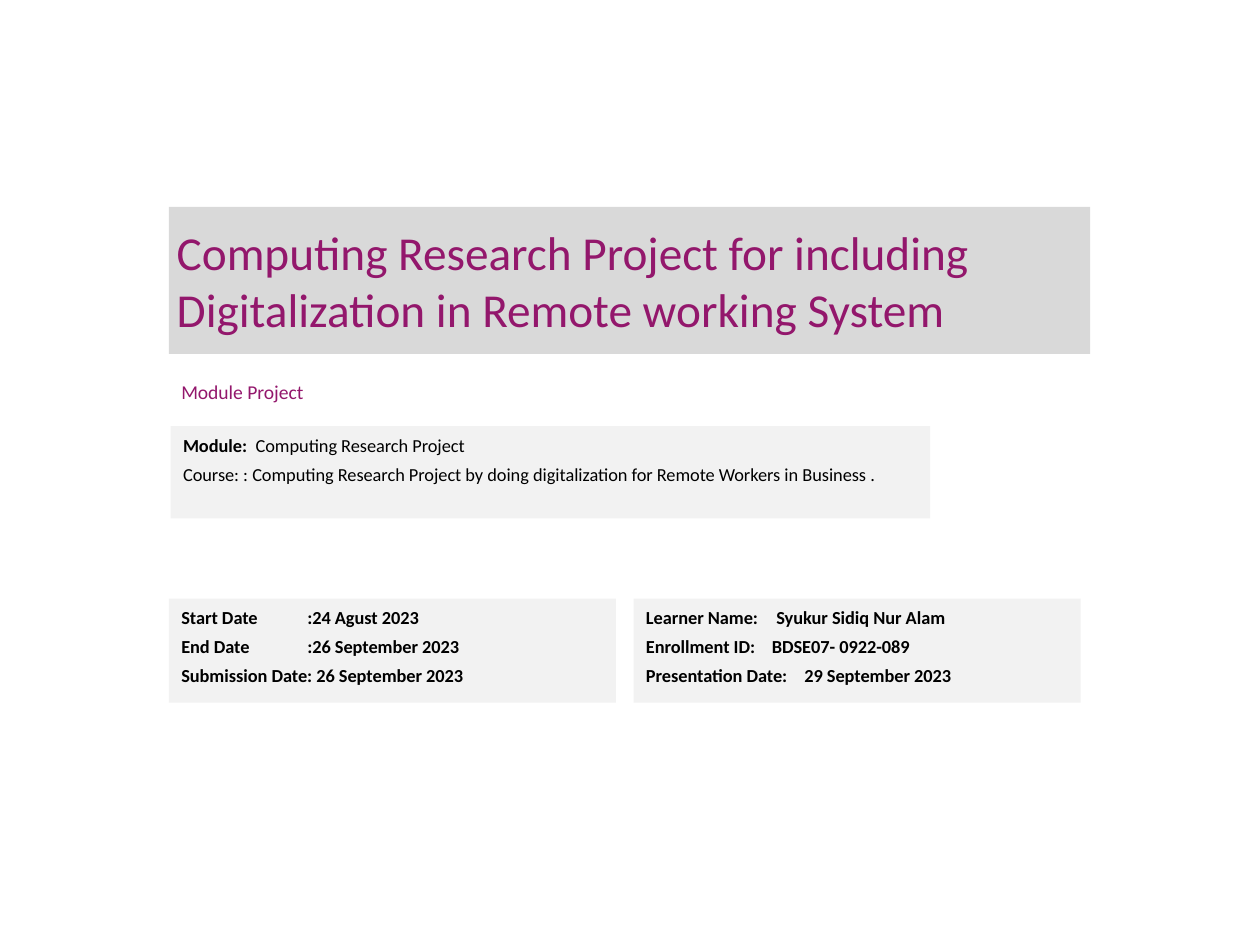
"""Build the title slide of a computing research project."""
from pptx import Presentation, util as u
from pptx.dml.color import RGBColor
from pptx.enum import shapes, text
from pptx.oxml import xmlchemy as xc

Pt = u.Pt
HUES = {"plum": "93176C", "black": "000000", "band": "D9D9D9", "card": "F2F2F2"}
LINE = {"line_spacing": Pt(13.5), "space_before": Pt(1.5), "space_after": Pt(1.5)}
FRAME = {"word_wrap": True, "auto_size": text.MSO_AUTO_SIZE.NONE}


def add_box(spot, hue=None, **form):
    box = page.shapes.add_shape(shapes.MSO_SHAPE.RECTANGLE, *map(Pt, spot))
    box.shadow.inherit = False
    box.line.fill.background()
    if hue:
        box.fill.solid()
        box.fill.fore_color.rgb = RGBColor.from_string(HUES[hue])
    else:
        box.fill.background()
    for key, val in {**FRAME, **form}.items():
        setattr(box.text_frame, key, val)
    return box.text_frame


def add_run(para, words, size, hue, bold=False):
    para.alignment = text.PP_ALIGN.LEFT
    run = para.add_run()
    run.text = words
    for key, val in {"name": "Calibri", "size": Pt(size), "bold": bold}.items():
        setattr(run.font, key, val)
    run.font.color.rgb = RGBColor.from_string(HUES[hue])


deck = Presentation()
deck.slide_width, deck.slide_height = Pt(720), Pt(540)
page = deck.slides.add_slide(deck.slide_layouts[6])

mid = text.MSO_ANCHOR.MIDDLE
edge = {"margin_left": Pt(4.5), "margin_right": Pt(4.5),
        "margin_top": Pt(2.25), "margin_bottom": Pt(2.25)}
title = add_box((96.5, 118.25, 526.5, 84), "band", vertical_anchor=mid, **edge)
para = title.paragraphs[0]
for row, words in enumerate(("Computing Research Project for including",
                             "Digitalization in Remote working System")):
    if row:
        para.add_line_break()
    add_run(para, words, 27, "plum")

label = add_box((96.5, 206.75, 346.25, 34), vertical_anchor=mid)
add_run(label.paragraphs[0], "Module Project", 11.2, "plum")

cards = [
    ((96.5, 342, 255.5, 59.5), [
        (72, [("Start Date\t:24 Agust 2023", True)]),
        (72, [("End Date\t:26 September 2023", True)]),
        (None, [("Submission Date: 26 September 2023", True)])]),
    ((97.5, 243.5, 434, 52.75), [
        (41.5, [("Module:", True), ("\tComputing Research Project", False)]),
        (None, [("Course: : Computing Research Project by doing digitalization "
                 "for Remote Workers in Business .", False)])]),
    ((362, 342, 255.5, 59.5), [
        (74.5, [("Learner Name:\tSyukur Sidiq Nur Alam", True)]),
        (72, [("Enrollment ID:\tBDSE07- 0922-089", True)]),
        (90.5, [("Presentation Date:\t29 September 2023", True)])]),
]
for spot, rows in cards:
    card = add_box(spot, "card", vertical_anchor=text.MSO_ANCHOR.TOP)
    for row, (stop, runs) in enumerate(rows):
        para = card.add_paragraph() if row else card.paragraphs[0]
        for key, val in LINE.items():
            setattr(para, key, val)
        if not row:
            para.space_before = Pt(0)
        if stop:
            tabs = xc.OxmlElement("a:tabLst")
            tab = xc.OxmlElement("a:tab")
            tab.set("pos", str(Pt(stop)))
            tab.set("algn", "l")
            tabs.append(tab)
            para._p.get_or_add_pPr().append(tabs)
        for words, bold in runs:
            add_run(para, words, 10.5, "black", bold)

deck.save("out.pptx")
